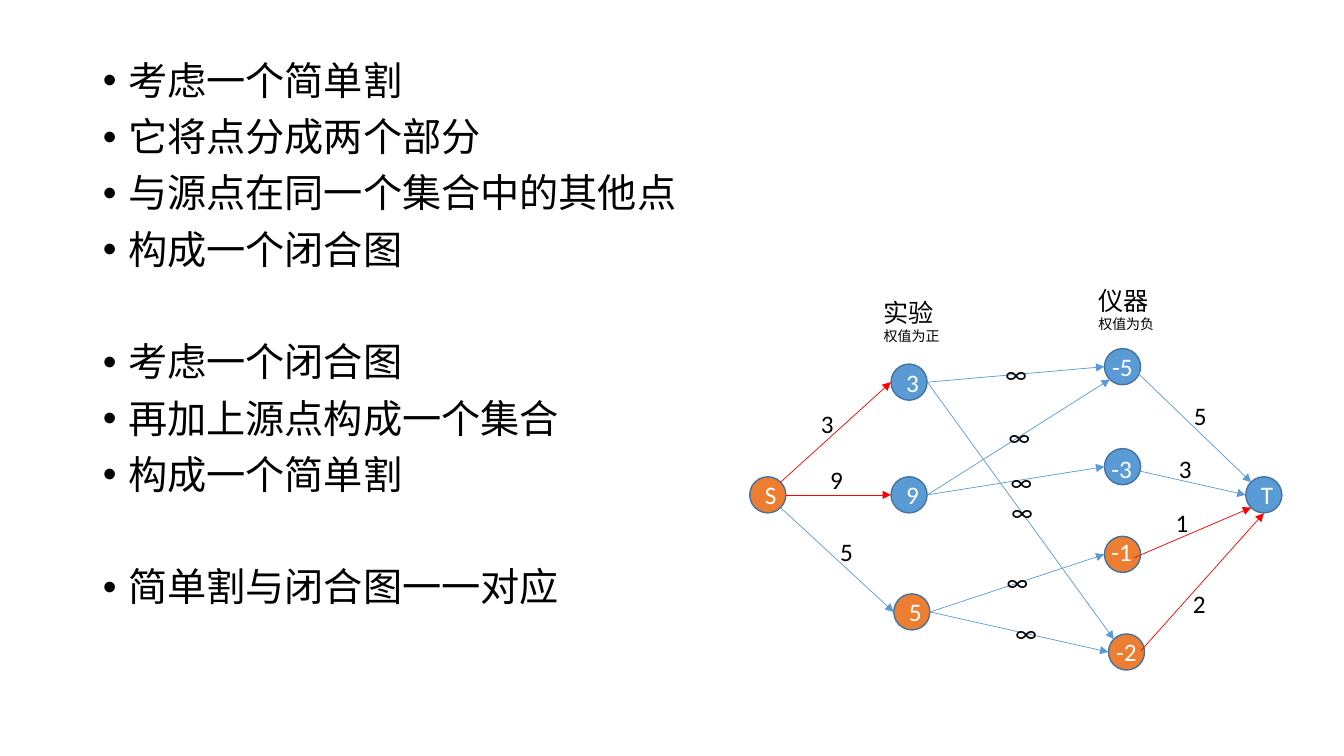
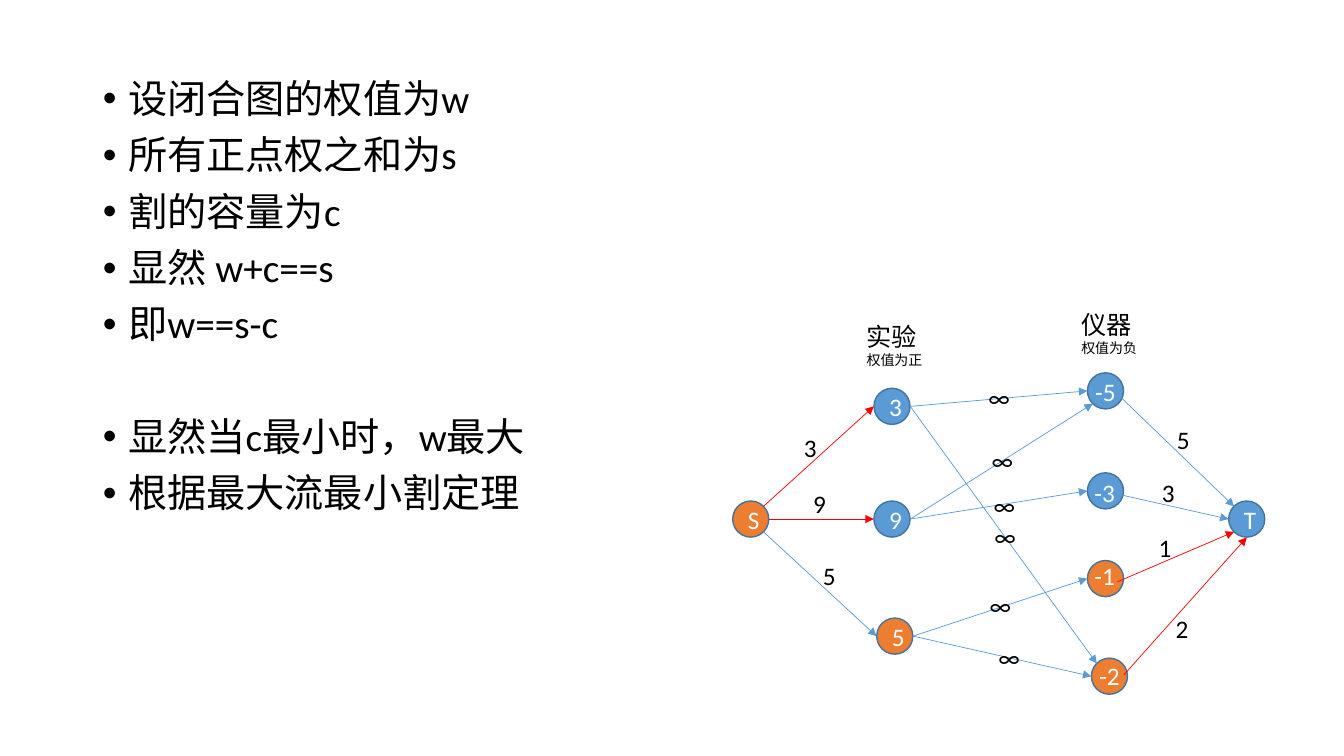
from lxml.etree import SubElement
from pptx import Presentation
from pptx.dml.color import RGBColor
from pptx.enum.shapes import MSO_CONNECTOR, MSO_SHAPE
from pptx.enum.text import MSO_ANCHOR, MSO_AUTO_SIZE, PP_ALIGN
from pptx.oxml.ns import qn
from pptx.util import Cm, Pt

# Shared style
FONT = "Calibri"
BLACK, WHITE = "000000", "FFFFFF"
BLUE, ORANGE, RED, OUTLINE = "5B9BD5", "ED7D31", "FF0000", "43739E"
BODY_SIZE, LABEL_SIZE, NOTE_SIZE = 28, 18, 10
DIAMETER = 0.91

# Network: all places are in cm from the centre of S
NODES = {
    "S": (0, 0, ORANGE),
    "3": (3.56, -2.84, BLUE),
    "9": (3.56, 0, BLUE),
    "5": (3.63, 2.95, ORANGE),
    "-5": (8.94, -3.23, BLUE),
    "-3": (8.94, -0.71, BLUE),
    "-1": (8.94, 1.5, ORANGE),
    "-2": (9.04, 3.96, ORANGE),
    "T": (12.5, 0, BLUE),
}

# Wide node weights lie over their circles in boxes of their own
WEIGHT_LABELS = {
    "-5": (8.43, -3.73),
    "-3": (8.41, -1.17),
    "-1": (8.41, 0.91),
    "-2": (8.53, 3.43),
}

# Where edges meet a circle, from its centre
PORTS = {
    "left": (-0.46, 0),
    "right": (0.46, 0),
    "bottom": (0, 0.46),
    "top left": (-0.32, -0.32),
    "top right": (0.32, -0.32),
    "bottom left": (-0.32, 0.32),
    "bottom right": (0.32, 0.32),
    "weight": (0.3, 0.08),
    "last weight": (0.36, -0.03),
}

# Start, its port, end, its port, colour, capacity, left and top of capacity
EDGES = [
    ("S", "top right", "3", "left", RED, "3", 1.09, -2.31),
    ("S", "right", "9", "left", RED, "9", 1.32, -0.89),
    ("S", "bottom right", "5", "left", BLUE, "5", 1.57, 0.91),
    ("3", "right", "-5", "left", BLUE, "∞", 5.74, -3.56),
    ("3", "right", "-2", "top left", BLUE, "∞", 5.89, -0.08),
    ("9", "right", "-5", "bottom left", BLUE, "∞", 5.82, -1.98),
    ("9", "right", "-3", "left", BLUE, "∞", 5.87, -0.84),
    ("5", "right", "-1", "left", BLUE, "∞", 5.77, 1.68),
    ("5", "right", "-2", "left", BLUE, "∞", 5.99, 2.97),
    ("-5", "weight", "T", "top left", BLUE, "5", 10.49, -2.51),
    ("-3", "weight", "T", "left", BLUE, "3", 10.11, -1.17),
    ("-1", "weight", "T", "bottom left", RED, "1", 10.03, 0.2),
    ("-2", "last weight", "T", "bottom", RED, "2", 10.46, 2.24),
]

HEADINGS = [
    ("实验", "权值为正", 2.67, -5.11),
    ("仪器", "权值为负", 8.08, -5.41),
]

# Slides: groups of points, top of the text, centre of S
SLIDES = [
    ([["考虑一个简单割", "它将点分成两个部分", "与源点在同一个集合中的其他点", "构成一个闭合图"],
      ["考虑一个闭合图", "再加上源点构成一个集合", "构成一个简单割"],
      ["简单割与闭合图一一对应"]], 1.42, (19.35, 12.47)),
    ([["设闭合图的权值为w", "所有正点权之和为s", "割的容量为c", "显然 w+c==s", "即w==s-c"],
      ["显然当c最小时，w最大", "根据最大流最小割定理"]], 1.88, (18.92, 13.08)),
]


def rgb(color):
    return RGBColor.from_string(color)


def format_runs(paragraph, size, color):
    for run in paragraph.runs:
        run.font.name = FONT
        run.font.size = Pt(size)
        run.font.color.rgb = rgb(color)


def add_points(slide, groups, top):
    """Fill the body with bullets, leaving a line's gap between groups."""
    body = slide.placeholders[1]
    body.left, body.top = Cm(2.34), Cm(top)
    body.width, body.height = Cm(29.21), Cm(17.17 - top)
    frame = body.text_frame
    frame.text = "\n".join(point for group in groups for point in group)
    frame.auto_size = MSO_AUTO_SIZE.NONE
    frame.vertical_anchor = MSO_ANCHOR.TOP
    gaps = [50 if group_no and not point_no else 10
            for group_no, group in enumerate(groups)
            for point_no in range(len(group))]
    for paragraph, gap in zip(frame.paragraphs, gaps):
        paragraph.line_spacing = 0.9
        paragraph.space_before = Pt(gap)
        properties = paragraph._p.get_or_add_pPr()
        properties.set("marL", str(Cm(0.64)))
        properties.set("indent", str(-Cm(0.64)))
        SubElement(properties, qn("a:buFont"), typeface="Arial")
        SubElement(properties, qn("a:buChar"), char="•")
        format_runs(paragraph, BODY_SIZE, BLACK)


def add_node(slide, center_x, center_y, fill, weight):
    circle = slide.shapes.add_shape(
        MSO_SHAPE.OVAL, Cm(center_x - DIAMETER / 2), Cm(center_y - DIAMETER / 2),
        Cm(DIAMETER), Cm(DIAMETER))
    circle.shadow.inherit = False
    circle.fill.solid()
    circle.fill.fore_color.rgb = rgb(fill)
    circle.line.color.rgb = rgb(OUTLINE)
    circle.line.width = Pt(1)
    if weight:
        frame = circle.text_frame
        frame.text = weight
        frame.vertical_anchor = MSO_ANCHOR.MIDDLE
        frame.paragraphs[0].alignment = PP_ALIGN.CENTER
        format_runs(frame.paragraphs[0], LABEL_SIZE, WHITE)


def add_arrow(slide, start, end, color):
    arrow = slide.shapes.add_connector(
        MSO_CONNECTOR.STRAIGHT, *[Cm(value) for value in (*start, *end)])
    arrow.line.color.rgb = rgb(color)
    arrow.line.width = Pt(0.5)
    SubElement(arrow.line._get_or_add_ln(), qn("a:tailEnd"), type="triangle")
    SubElement(arrow._element.spPr, qn("a:effectLst"))


def add_label(slide, lines, left, top, width, height, color=BLACK, wrap=True):
    label = slide.shapes.add_textbox(Cm(left), Cm(top), Cm(width), Cm(height))
    frame = label.text_frame
    frame.text = "\n".join(lines)
    frame.word_wrap = wrap
    frame.auto_size = MSO_AUTO_SIZE.SHAPE_TO_FIT_TEXT
    for paragraph, size in zip(frame.paragraphs, (LABEL_SIZE, NOTE_SIZE)):
        format_runs(paragraph, size, color)


def add_network(slide, source_x, source_y):
    # Circles
    for name, (x, y, fill) in NODES.items():
        weight = "" if name in WEIGHT_LABELS else name
        add_node(slide, source_x + x, source_y + y, fill, weight)

    def port(node, side):
        x, y, _ = NODES[node]
        dx, dy = PORTS[side]
        return source_x + x + dx, source_y + y + dy

    # Edges, then the words over them
    for start, exit_side, end, entry_side, color, *_ in EDGES:
        add_arrow(slide, port(start, exit_side), port(end, entry_side), color)
    for title, note, x, y in HEADINGS:
        add_label(slide, [title, note], source_x + x, source_y + y, 1.93, 1.45, wrap=False)
    for weight, (x, y) in WEIGHT_LABELS.items():
        add_label(slide, [weight], source_x + x, source_y + y, 1.22, 1.04, WHITE)
    for *_, capacity, x, y in EDGES:
        add_label(slide, [capacity], source_x + x, source_y + y, 0.94, 1.02)


def main():
    deck = Presentation()
    deck.slide_width, deck.slide_height = Cm(33.87), Cm(19.05)
    for groups, top, source in SLIDES:
        slide = deck.slides.add_slide(deck.slide_layouts[1])
        empty_title = slide.shapes.title._element
        empty_title.getparent().remove(empty_title)
        add_points(slide, groups, top)
        add_network(slide, *source)
    deck.save("out.pptx")


main()
